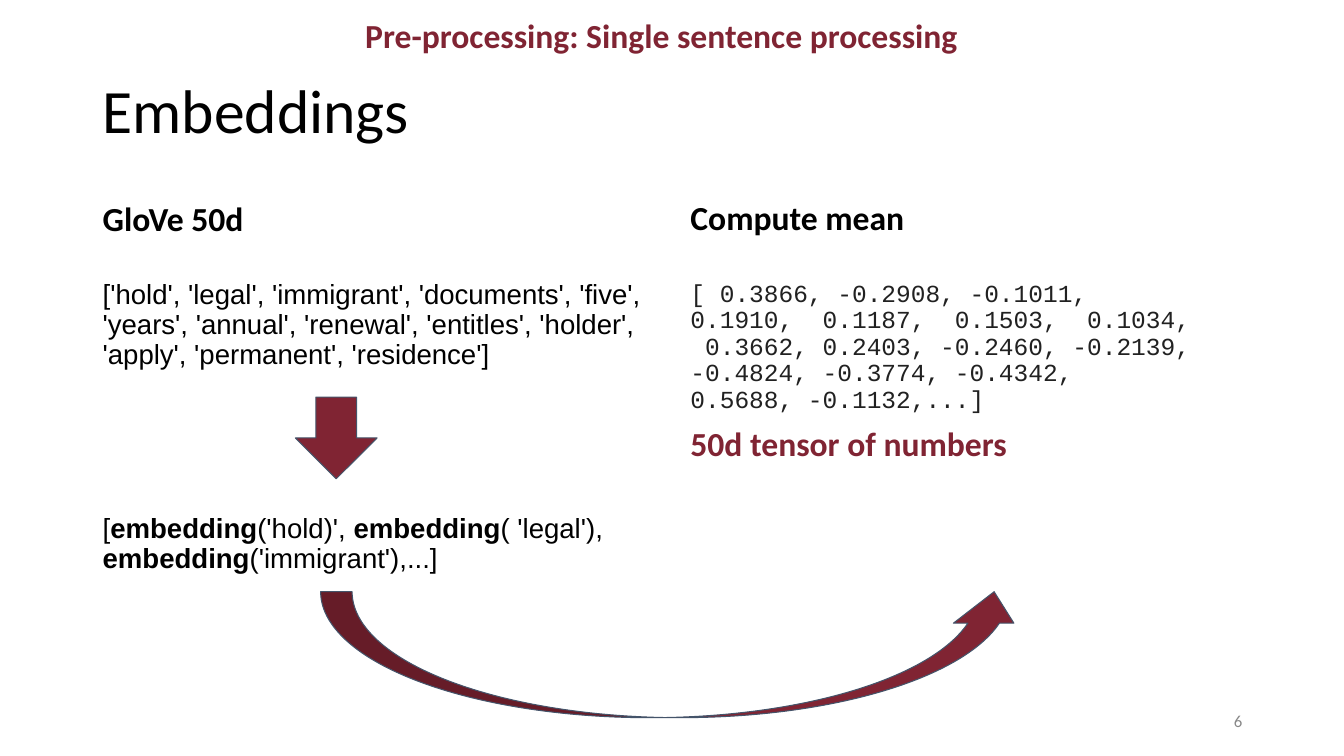
from dataclasses import dataclass, field

from pptx import Presentation
from pptx.dml.color import RGBColor
from pptx.enum.shapes import MSO_SHAPE
from pptx.enum.text import MSO_ANCHOR, PP_ALIGN
from pptx.util import Inches, Pt

BLACK = RGBColor(0x00, 0x00, 0x00)
MAROON = RGBColor(0x80, 0x24, 0x33)
CHARCOAL = RGBColor(0x21, 0x21, 0x21)
GRAY = RGBColor(0x88, 0x88, 0x88)
SLATE = RGBColor(0x44, 0x54, 0x6A)

TITLE = dict(name="Calibri", size=Pt(44))
HEADING = dict(name="Calibri", size=Pt(24), bold=True)
TOKENS = dict(name="Arial", size=Pt(19.7))
TENSOR = dict(name="Courier New", size=Pt(17.5))
NUMBER = dict(name="Calibri", size=Pt(12))

LEFT, RIGHT = 0.92, 6.75  # column edges
BODY_TOP = 2.74


@dataclass
class Para:
    runs: list[tuple[str, bool]]  # text, bold
    font: dict
    color: RGBColor = BLACK
    format: dict = field(default_factory=lambda: dict(line_spacing=0.9))


@dataclass
class Box:
    at: tuple[float, float, float, float]
    paras: list[Para]
    anchor: MSO_ANCHOR = MSO_ANCHOR.TOP
    margin_y: float = 0.05


@dataclass
class Arrow:
    kind: MSO_SHAPE
    at: tuple[float, float, float, float]
    adjustments: tuple[float, ...]


def line(text: str, font: dict, color: RGBColor = BLACK, **format) -> Para:
    return Para([(text, font.get("bold", False))], font, color,
                dict(line_spacing=0.9) | format)


def draw_box(s, box: Box) -> None:
    tf = s.shapes.add_textbox(*map(Inches, box.at)).text_frame
    frame = dict(word_wrap=True, vertical_anchor=box.anchor,
                 margin_left=Inches(0.1), margin_right=Inches(0.1),
                 margin_top=Inches(box.margin_y), margin_bottom=Inches(box.margin_y))
    for key, value in frame.items():
        setattr(tf, key, value)
    for i, para in enumerate(box.paras):
        p = tf.add_paragraph() if i else tf.paragraphs[0]
        for key, value in para.format.items():
            setattr(p, key, value)
        for text, bold in para.runs:
            r = p.add_run()
            r.text = text
            for key, value in (para.font | dict(bold=bold)).items():
                setattr(r.font, key, value)
            r.font.color.rgb = para.color


def draw_arrow(s, arrow: Arrow) -> None:
    sp = s.shapes.add_shape(arrow.kind, *map(Inches, arrow.at))
    for i, value in enumerate(arrow.adjustments):
        sp.adjustments[i] = value
    sp.shadow.inherit = False
    sp.fill.solid()
    sp.fill.fore_color.rgb = MAROON
    sp.line.color.rgb = SLATE
    sp.line.width = Pt(0.75)


TOKEN_LIST = ("['hold', 'legal', 'immigrant', 'documents', 'five', 'years', 'annual', "
              "'renewal', 'entitles', 'holder', 'apply', 'permanent', 'residence']")
EMBEDDED = [("[", False), ("embedding", True), ("('hold)', ", False),
            ("embedding", True), ("( 'legal'), ", False),
            ("embedding", True), ("('immigrant'),...]", False)]
MEAN_VALUES = ("[ 0.3866, -0.2908, -0.1011,  0.1910,  0.1187,  0.1503,  0.1034,  0.3662, "
               "0.2403, -0.2460, -0.2139, -0.4824, -0.3774, -0.4342,  0.5688, -0.1132,...]")

BOXES = [
    # Title and section banner
    Box((LEFT, 0.4, 11.5, 1.45), [line("Embeddings", TITLE)], MSO_ANCHOR.MIDDLE),
    Box((0, 0.09, 13.12, 0.57),
        [line("Pre-processing: Single sentence processing", HEADING, MAROON,
              alignment=PP_ALIGN.CENTER)], margin_y=0.1),
    # Left column: tokens above, embedded tokens below the arrow
    Box((LEFT, 1.85, 5.64, 0.57), [line("GloVe 50d", HEADING)], MSO_ANCHOR.BOTTOM),
    Box((LEFT, BODY_TOP, 5.64, 4.03),
        [line(TOKEN_LIST, TOKENS),
         Para(EMBEDDED, TOKENS, format=dict(line_spacing=0.9, space_before=Pt(103)))]),
    # Right column: averaged vector
    Box((RIGHT, 1.51, 5.67, 0.9), [line("Compute mean", HEADING)], MSO_ANCHOR.BOTTOM),
    Box((RIGHT, BODY_TOP, 5.23, 2.01),
        [line(MEAN_VALUES, TENSOR, CHARCOAL),
         line("50d tensor of numbers", HEADING, MAROON, space_before=Pt(10))]),
    # Slide number
    Box((9.42, 6.95, 3, 0.4),
        [line("6", NUMBER, GRAY, alignment=PP_ALIGN.RIGHT, line_spacing=1.0)],
        MSO_ANCHOR.MIDDLE),
]

ARROWS = [
    Arrow(MSO_SHAPE.DOWN_ARROW, (2.93, 3.94, 0.81, 0.81), (0.5, 0.5)),
    Arrow(MSO_SHAPE.CURVED_UP_ARROW, (3.18, 5.87, 6.98, 1.25), (0.25, 0.48, 0.25)),
]


def main() -> None:
    prs = Presentation()
    prs.slide_width, prs.slide_height = Inches(13.33), Inches(7.5)
    s = prs.slides.add_slide(prs.slide_layouts[6])
    for box in BOXES:
        draw_box(s, box)
    for arrow in ARROWS:
        draw_arrow(s, arrow)
    prs.save("out.pptx")


if __name__ == "__main__":
    main()
